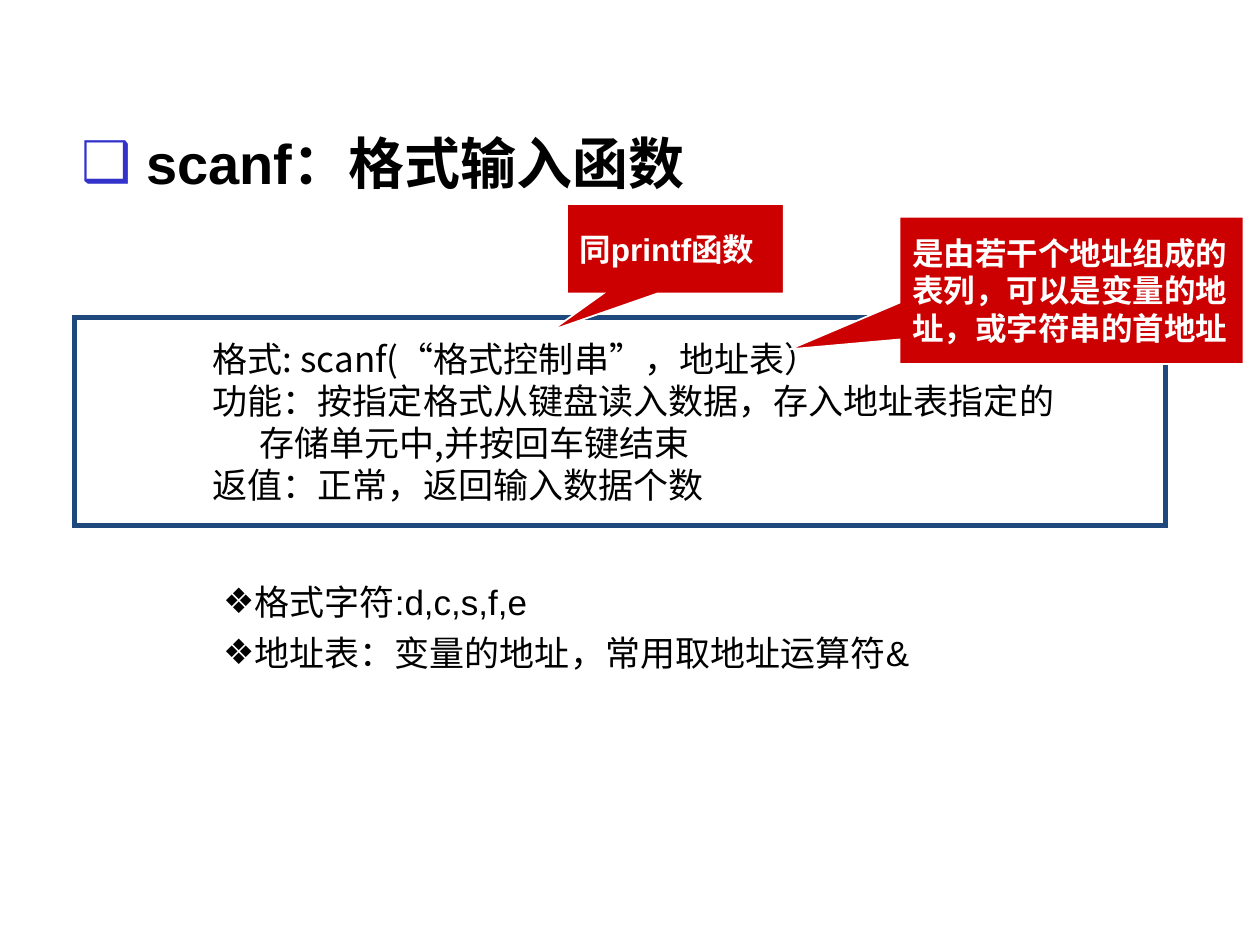
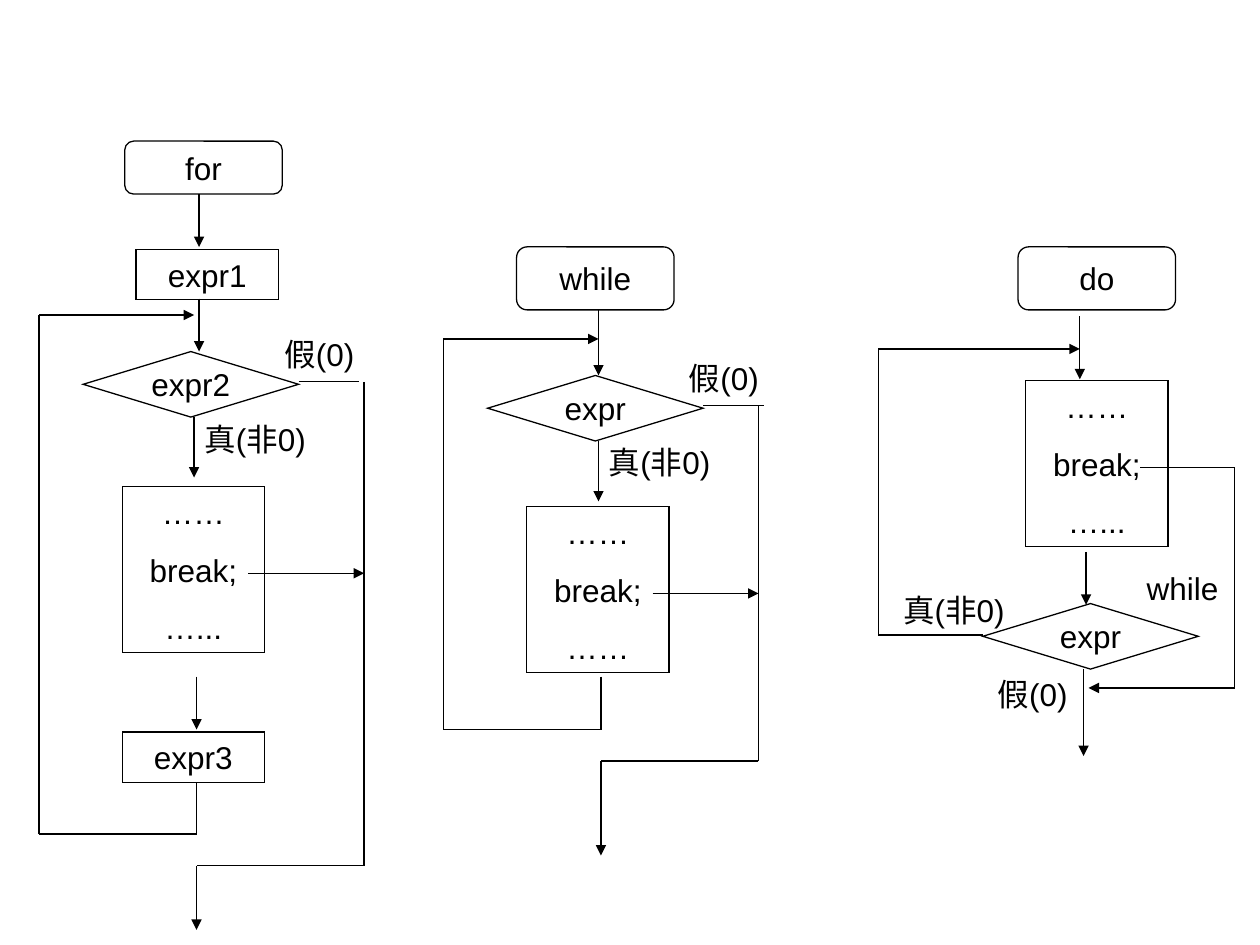
import dataclasses
import itertools

import lxml.etree
import pptx
import pptx.dml.color
import pptx.enum.shapes
import pptx.enum.text
import pptx.oxml.ns
import pptx.util

Inches = pptx.util.Inches
Pt = pptx.util.Pt
RGB = pptx.dml.color.RGBColor.from_string
SHAPE = pptx.enum.shapes.MSO_SHAPE
ALIGN = pptx.enum.text.PP_ALIGN
ANCHOR = pptx.enum.text.MSO_ANCHOR
qn = pptx.oxml.ns.qn


@dataclasses.dataclass(frozen=True)
class Theme:
    """Colours, fonts and sizes shared by the slides."""

    ink: str = "000000"
    paper: str = "FFFFFF"
    frame: str = "1F497D"
    callout: str = "CC0000"
    bullet: str = "3333CC"
    latin: str = "Arial"
    cjk: str = "Noto Sans CJK SC"
    title: int = 32
    body: int = 20
    label: int = 18
    hairline: float = 0.75
    step_gap: float = 11.2


THEME = Theme()


def style_text(tf, size, color=THEME.ink, font=THEME.latin, bold=False, align=ALIGN.LEFT):
    """Format every run of a text frame."""
    for p in tf.paragraphs:
        p.alignment = align
        for r in p.runs:
            r.font.size, r.font.bold, r.font.name = Pt(size), bold, font
            r.font.color.rgb = RGB(color)
            lxml.etree.SubElement(r._r.get_or_add_rPr(), qn("a:ea"), typeface=THEME.cjk)


def set_indent(p, left, first=0):
    """Set the left margin and first-line indent of a paragraph."""
    pPr = p._p.get_or_add_pPr()
    pPr.set("marL", str(Inches(left)))
    pPr.set("indent", str(Inches(first)))


def set_bullet(p, char, color):
    """Give a paragraph a coloured bullet character."""
    pPr = p._p.get_or_add_pPr()
    fill = lxml.etree.SubElement(pPr, qn("a:buClr"))
    lxml.etree.SubElement(fill, qn("a:srgbClr"), val=color)
    lxml.etree.SubElement(pPr, qn("a:buFont"), typeface=THEME.latin)
    lxml.etree.SubElement(pPr, qn("a:buChar"), char=char)


def place(sp, left, top, width, height):
    """Move and size a shape, in inches."""
    sp.left, sp.top = Inches(left), Inches(top)
    sp.width, sp.height = Inches(width), Inches(height)


def add_box(s, kind, box, text, fill=None, line=THEME.ink, weight=THEME.hairline):
    """Add a preset shape with plain text and sharp corners."""
    sp = s.shapes.add_shape(kind, *map(Inches, box))
    sp.shadow.inherit = False
    if fill:
        sp.fill.solid()
        sp.fill.fore_color.rgb = RGB(fill)
    else:
        sp.fill.background()
    sp.line.color.rgb = RGB(line)
    sp.line.width = Pt(weight)
    lxml.etree.SubElement(sp.element.spPr.find(qn("a:ln")), qn("a:miter"), lim="800000")
    tf = sp.text_frame
    tf.text = text
    tf.word_wrap = True
    tf.vertical_anchor = ANCHOR.MIDDLE
    return sp


def fill_title(s, box, text):
    """Place the bulleted slide title."""
    sp = s.shapes.title
    place(sp, *box)
    tf = sp.text_frame
    tf.text = text
    tf.auto_size = pptx.enum.text.MSO_AUTO_SIZE.NONE
    tf.vertical_anchor = ANCHOR.TOP
    tf.margin_right = 0
    style_text(tf, THEME.title, bold=True)
    p = tf.paragraphs[0]
    set_indent(p, 0.51, -0.51)
    set_bullet(p, "❑", THEME.bullet)


def fill_list(s, box, items):
    """Place the bulleted list in the body placeholder."""
    sp = s.placeholders[1]
    place(sp, *box)
    tf = sp.text_frame
    tf.text = "\n".join(items)
    tf.auto_size = pptx.enum.text.MSO_AUTO_SIZE.NONE
    style_text(tf, THEME.body)
    for p in tf.paragraphs:
        p.space_before = Pt(5)
        set_indent(p, 1.25, -0.25)
        set_bullet(p, "❖", THEME.ink)


def add_syntax_box(s, box, lines):
    """Add the framed description, given as (text, left margin) lines."""
    text = "\n".join(line for line, _ in lines)
    sp = add_box(s, SHAPE.RECTANGLE, box, text, line=THEME.frame, weight=3)
    style_text(sp.text_frame, THEME.body, font=THEME.cjk)
    for p, (_, margin) in zip(sp.text_frame.paragraphs, lines):
        set_indent(p, margin)


def add_callout(s, box, tip, text):
    """Add a red callout whose tip is a fraction of its size from the centre."""
    sp = add_box(s, SHAPE.RECTANGULAR_CALLOUT, box, text, THEME.callout, THEME.paper, 1)
    sp.adjustments[0], sp.adjustments[1] = tip
    style_text(sp.text_frame, THEME.label, THEME.paper, bold=True)


def build_scanf_slide(prs):
    """Build the slide on formatted input."""
    s = prs.slides.add_slide(prs.slide_layouts[1])
    fill_title(s, (0.55, 0.97, 5.2, 1.17), "scanf：格式输入函数")
    fill_list(s, (0.67, 4.56, 8.5, 1.01),
              ["格式字符:d,c,s,f,e", "地址表：变量的地址，常用取地址运算符&"])
    add_syntax_box(s, (0.59, 2.52, 8.66, 1.65), [
        ("格式: scanf(“格式控制串”，地址表）", 1),
        ("功能：按指定格式从键盘读入数据，存入地址表指定的", 1),
        ("存储单元中,并按回车键结束", 1.37),
        ("返值：正常，返回输入数据个数", 1),
    ])
    add_callout(s, (4.5, 1.62, 1.72, 0.71), (-0.57, 0.91), "同printf函数")
    add_callout(s, (7.14, 1.72, 2.73, 1.17), (-0.82, 0.4),
                "是由若干个地址组成的表列，可以是变量的地址，或字符串的首地址")


@dataclasses.dataclass
class Flowchart:
    """A flowchart whose parts are placed from its top left corner."""

    s: object
    left: float
    top: float

    def node(self, kind, x, y, width, height, text, fill=THEME.paper):
        """Add an outlined node with centred text."""
        box = (self.left + x, self.top + y, width, height)
        sp = add_box(self.s, kind, box, text, fill)
        sp.text_frame.word_wrap = kind == SHAPE.RECTANGLE
        style_text(sp.text_frame, THEME.label, align=ALIGN.CENTER)
        return sp

    def start(self, x, height, text):
        """Add the rounded start node at the top."""
        self.node(SHAPE.FLOWCHART_ALTERNATE_PROCESS, x, 0, 1.25, height, text, None)

    def step(self, x, y, text):
        """Add a one-line process step."""
        self.node(SHAPE.RECTANGLE, x, y, 1.13, 0.4, text)

    def test(self, x, y, text):
        """Add a decision diamond."""
        self.node(SHAPE.FLOWCHART_DECISION, x, y, 1.71, 0.52, text)

    def body(self, x, y, last):
        """Add the loop body with its break statement."""
        sp = self.node(SHAPE.RECTANGLE, x, y, 1.13, 1.32, "……\nbreak;\n" + last)
        for p in sp.text_frame.paragraphs:
            p.space_before = Pt(THEME.step_gap)

    def label(self, x, y, width, text):
        """Add a one-line branch label without side margins."""
        sp = self.s.shapes.add_textbox(Inches(self.left + x), Inches(self.top + y),
                                       Inches(width), Inches(0.4))
        tf = sp.text_frame
        tf.text = text
        tf.word_wrap = True
        tf.margin_left = tf.margin_right = 0
        tf.vertical_anchor = ANCHOR.MIDDLE
        style_text(tf, THEME.label, align=ALIGN.CENTER)

    def route(self, *points, arrow=True):
        """Join points with straight lines, the last one ending in an arrowhead."""
        for a, b in itertools.pairwise(points):
            ends = [Inches(o + v) for o, v in zip((self.left, self.top) * 2, a + b)]
            c = self.s.shapes.add_connector(pptx.enum.shapes.MSO_CONNECTOR.STRAIGHT, *ends)
            c.line.color.rgb = RGB(THEME.ink)
            c.line.width = Pt(THEME.hairline)
            spPr = c.element.spPr
            lxml.etree.SubElement(spPr, qn("a:effectLst"))
        if arrow:
            lxml.etree.SubElement(spPr.find(qn("a:ln")), qn("a:tailEnd"), type="triangle")


def add_tested_loop(chart, y, test, body_y, last, back, exit_x, end_y):
    """Add the part that for and while share: test, body, way back and way out."""
    back_from, back_y = back
    break_y = body_y + 0.69
    chart.test(0.35, y, test)
    chart.route((1.23, y + 0.52), (1.23, y + 1))
    chart.body(0.66, body_y, last)
    chart.label(1.82, y - 0.18, 0.81, "假(0)")
    chart.label(1.08, y + 0.49, 1.27, "真(非0)")
    chart.route((1.25, back_from), (1.25, back_y), (0, back_y), (0, y - 0.29), (1.23, y - 0.29))
    chart.route((2.06, y + 0.24), (2.54, y + 0.24), arrow=False)
    exit_y = back_y + 0.25
    chart.route((exit_x, y + 0.24), (exit_x, exit_y), (1.25, exit_y), (1.25, end_y))
    chart.route((1.66, break_y), (exit_x, break_y))


def add_for_chart(s, left, top):
    """Add the for loop."""
    chart = Flowchart(s, left, top)
    chart.start(0.68, 0.42, "for")
    chart.route((1.27, 0.42), (1.27, 0.84))
    chart.step(0.77, 0.86, "expr1")
    chart.route((1.27, 1.25), (1.27, 1.67))
    add_tested_loop(chart, 1.67, "expr2", 2.74, "…...", (5.09, 5.5), 2.58, 6.26)
    chart.route((1.25, 4.25), (1.25, 4.67))
    chart.step(0.66, 4.69, "expr3")


def add_while_chart(s, left, top):
    """Add the while loop."""
    chart = Flowchart(s, left, top)
    chart.start(0.58, 0.5, "while")
    chart.route((1.23, 0.5), (1.23, 1.02))
    add_tested_loop(chart, 1.02, "expr", 2.06, "……", (3.41, 3.83), 2.5, 4.83)


def add_do_chart(s, left, top):
    """Add the do-while loop."""
    chart = Flowchart(s, left, top)
    chart.start(1.11, 0.5, "do")
    chart.route((1.6, 0.55), (1.6, 1.05))
    chart.body(1.17, 1.06, "…...")
    chart.route((1.65, 2.42), (1.65, 2.84))
    chart.test(0.83, 2.83, "expr")
    chart.route((1.63, 3.35), (1.63, 4.04))
    chart.label(0.75, 3.35, 0.95, "假(0)")
    chart.label(0.01, 2.68, 1.18, "真(非0)")
    chart.label(2, 2.51, 0.83, "while")
    chart.route((0.83, 3.08), (0, 3.08), (0, 0.81), (1.6, 0.81))
    chart.route((2.08, 1.75), (2.83, 1.75), (2.83, 3.5), (1.67, 3.5))


def build_break_slide(prs):
    """Build the slide on break in the three loops."""
    s = prs.slides.add_slide(prs.slide_layouts[6])
    add_while_chart(s, 3.52, 1.96)
    add_do_chart(s, 6.97, 1.96)
    add_for_chart(s, 0.31, 1.12)


def main():
    """Build and save the presentation."""
    prs = pptx.Presentation()
    prs.slide_width, prs.slide_height = Inches(10), Inches(7.5)
    build_scanf_slide(prs)
    build_break_slide(prs)
    prs.save("out.pptx")


if __name__ == "__main__":
    main()
